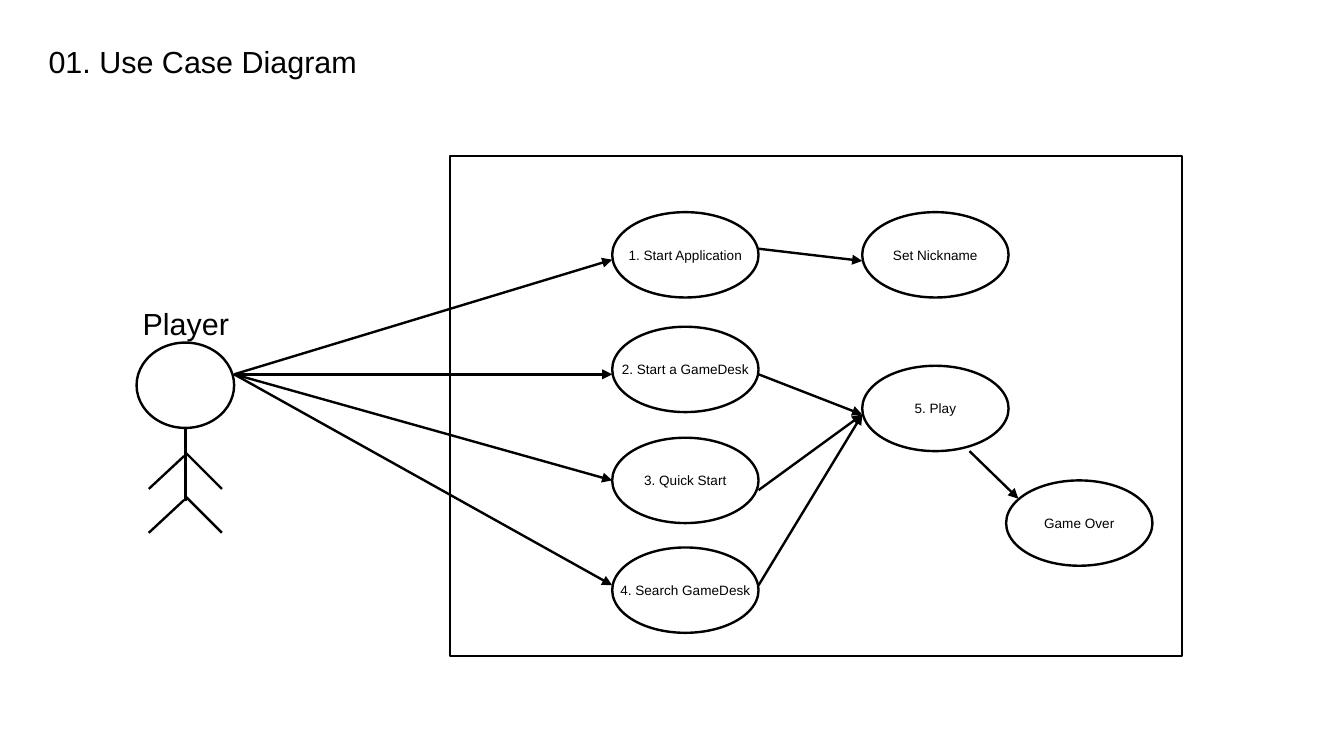
from pptx import Presentation
from pptx.dml.color import RGBColor
from pptx.enum.shapes import MSO_CONNECTOR as Connector, MSO_SHAPE as Shape
from pptx.enum.text import MSO_ANCHOR as Anchor, MSO_AUTO_SIZE as AutoSize, PP_ALIGN as Align
from pptx.oxml.ns import qn
from pptx.util import Inches, Pt
from lxml import etree

INK = "000000"
FONT = "Arial"
STROKE = 1.42
OVAL_W, OVAL_H = 1.2, 0.7


def color(hex_code):
    return RGBColor.from_string(hex_code)


def inches(*lengths):
    return [Inches(length) for length in lengths]


def write(frame, words, size, inset_x, inset_y):
    frame.word_wrap = False
    frame.margin_left = frame.margin_right = Inches(inset_x)
    frame.margin_top = frame.margin_bottom = Inches(inset_y)
    run = frame.paragraphs[0].add_run()
    run.text = words
    run.font.size = Pt(size)
    run.font.name = FONT
    run.font.color.rgb = color(INK)


def add_label(slide, box, words, inset_x, inset_y):
    frame = slide.shapes.add_textbox(*inches(*box)).text_frame
    write(frame, words, 18, inset_x, inset_y)
    frame.auto_size = AutoSize.SHAPE_TO_FIT_TEXT


def add_outline(shapes, kind, box):
    outline = shapes.add_shape(kind, *inches(*box))
    outline.shadow.inherit = False
    outline.fill.background()
    outline.line.color.rgb = color(INK)
    outline.line.width = Pt(STROKE)
    return outline


def add_line(shapes, start, end, arrow=False):
    line = shapes.add_connector(Connector.STRAIGHT, *inches(*start, *end))
    line.line.color.rgb = color(INK)
    line.line.width = Pt(STROKE)
    if arrow:
        etree.SubElement(line.line._get_or_add_ln(), qn("a:tailEnd"), type="triangle")
    etree.SubElement(line._element.spPr, qn("a:effectLst"))


def add_use_case(slide, left, top, words):
    oval = add_outline(slide.shapes, Shape.OVAL, (left, top, OVAL_W, OVAL_H))
    frame = oval.text_frame
    write(frame, words, 8, 0.11, 0.06)
    frame.vertical_anchor = Anchor.MIDDLE
    frame.paragraphs[0].alignment = Align.CENTER


def add_player(slide, left, top):
    """Stick figure with its name above; returns the point its arrows leave from."""
    add_label(slide, (left - 0.06, top - 0.37, 0.93, 0.4), "Player", 0.11, 0.06)
    figure = slide.shapes.add_group_shape().shapes
    add_outline(figure, Shape.OVAL, (left, top, 0.8, 0.7))
    center = left + 0.4
    add_line(figure, (center, top + 0.7), (center, top + 1.3))
    for joint in (top + 0.9, top + 1.26):
        add_line(figure, (center, joint), (center + 0.3, joint + 0.3))
        add_line(figure, (center - 0.3, joint + 0.3), (center - 0.01, joint + 0.03))
    return left + 0.8, top + 0.26


def add_system(slide, left, top, width, height, player_hand):
    """System boundary with its use cases and the arrows between them."""
    add_outline(slide.shapes, Shape.RECTANGLE, (left, top, width, height))
    actions_left, results_left = left + 1.33, left + 3.38
    actions_right = actions_left + OVAL_W

    # name, oval top, height where the player's arrow arrives, start and end of the next arrow
    actions = [
        ("1. Start Application", 0.46, 0.85, 0.76, 0.86),
        ("2. Start a GameDesk", 1.4, 1.79, 1.79, 2.12),
        ("3. Quick Start", 2.31, 2.66, 2.74, 2.12),
        ("4. Search GameDesk", 3.21, 3.52, 3.52, 2.12),
    ]
    for name, oval_top, arrival, leave, target in actions:
        add_use_case(slide, actions_left, top + oval_top, name)
        add_line(slide.shapes, player_hand, (actions_left, top + arrival), arrow=True)
        add_line(slide.shapes, (actions_right, top + leave),
                 (results_left, top + target), arrow=True)

    results = [
        ("Set Nickname", results_left, 0.46),
        ("5. Play", results_left, 1.72),
        ("Game Over", left + 4.56, 2.66),
    ]
    for name, oval_left, oval_top in results:
        add_use_case(slide, oval_left, top + oval_top, name)
    add_line(slide.shapes, (left + 4.26, top + 2.42), (left + 4.66, top + 2.81), arrow=True)


def main():
    deck = Presentation()
    deck.slide_width, deck.slide_height = inches(11.02, 6.2)
    slide = deck.slides.add_slide(deck.slide_layouts[6])
    add_label(slide, (0.3, 0.3, 2.73, 0.38), "01. Use Case Diagram", 0.1, 0.05)
    player_hand = add_player(slide, 1.12, 2.81)
    add_system(slide, 3.69, 1.28, 6, 4.1, player_hand)
    deck.save("out.pptx")


if __name__ == "__main__":
    main()
